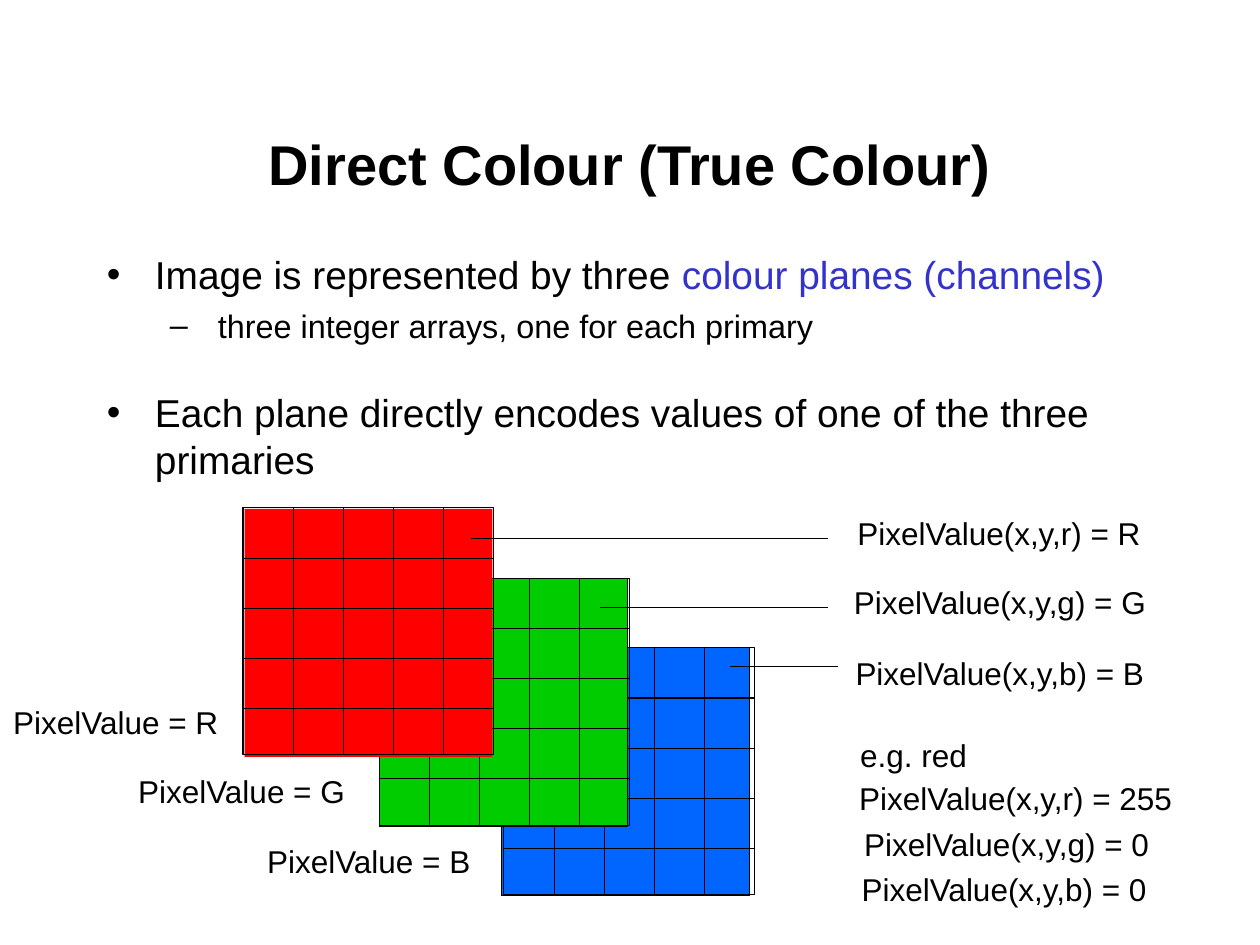
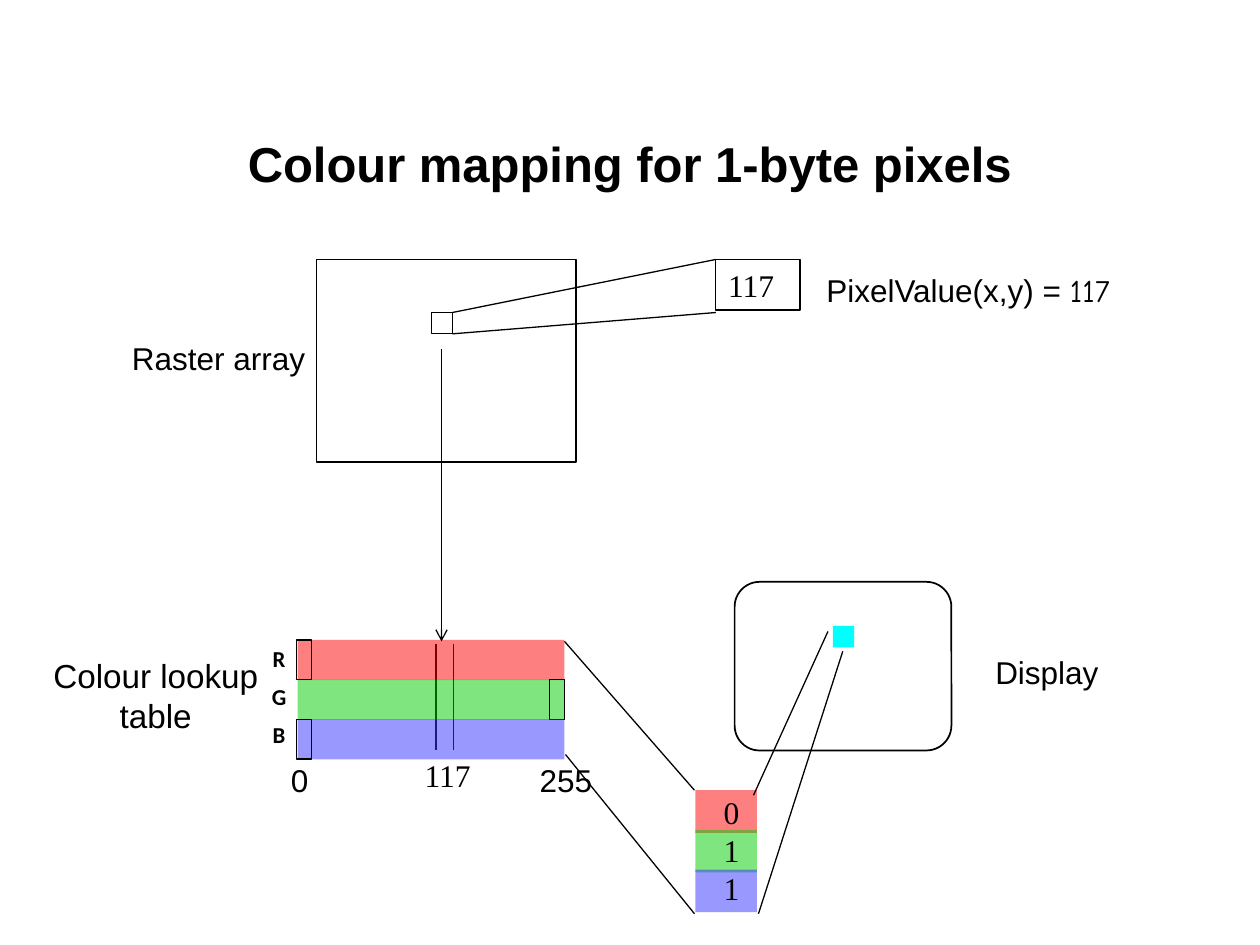
from lxml import etree
from pptx import Presentation
from pptx import util as u
from pptx.dml import color
from pptx.enum import shapes, text
from pptx.oxml import ns

BLACK = "000000"
RECT = shapes.MSO_SHAPE.RECTANGLE
LEFT, MID = text.PP_ALIGN.LEFT, text.PP_ALIGN.CENTER
SERIF = "Times New Roman"
tint = color.RGBColor.from_string


def box(page, kind, x, y, w, h, fill=None, edge=0, alpha=None):
    place = [u.Cm(n) for n in (x, y, w, h)]
    if kind is None:
        return page.shapes.add_textbox(*place)
    form = page.shapes.add_shape(kind, *place)
    form.shadow.inherit = False
    if fill:
        form.fill.solid()
        form.fill.fore_color.rgb = tint(fill)
        if alpha:
            hue = form.fill._xPr.find(".//" + ns.qn("a:srgbClr"))
            etree.SubElement(hue, ns.qn("a:alpha"), val=str(alpha * 1000))
    else:
        form.fill.background()
    if edge:
        form.line.color.rgb = tint(BLACK)
        form.line.width = u.Pt(edge)
    else:
        form.line.fill.background()
    return form


def rule(page, x1, y1, x2, y2, wide=0.75, arrow=False):
    line = page.shapes.add_connector(
        shapes.MSO_CONNECTOR.STRAIGHT, *[u.Cm(n) for n in (x1, y1, x2, y2)])
    line.line.color.rgb = tint(BLACK)
    line.line.width = u.Pt(wide)
    if arrow:
        etree.SubElement(line.line._get_or_add_ln(), ns.qn("a:tailEnd"), type="arrow")
    etree.SubElement(line._element.spPr, ns.qn("a:effectLst"))


deck = Presentation()
deck.slide_width, deck.slide_height = u.Cm(25.4), u.Cm(19.05)
pages = []
for layout, head, size in ((1, "Direct Colour (True Colour)", 32),
                           (5, "Colour mapping for 1-byte pixels", 28)):
    page = deck.slides.add_slide(deck.slide_layouts[layout])
    title = page.shapes.title
    title.left, title.top, title.width, title.height = [
        u.Cm(n) for n in (1.9, 1.7, 21.59, 3.18)]
    title.text_frame.auto_size = text.MSO_AUTO_SIZE.NONE
    para = title.text_frame.paragraphs[0]
    para.alignment = MID
    run = para.add_run()
    run.text = head
    run.font.name, run.font.size, run.font.bold = "Arial", u.Pt(size), True
    run.font.color.rgb = tint(BLACK)
    pages.append(page)
planes, lookup = pages

body = planes.placeholders[1]
body.left, body.top, body.width, body.height = [u.Cm(n) for n in (1.9, 4.93, 22.6, 5.08)]
frame = body.text_frame
frame.auto_size = text.MSO_AUTO_SIZE.NONE
items = [
    (0, "•", 0.97, 0, 22.2, [("Image is represented by three ", BLACK),
                             ("colour planes (channels)", "3333CC")]),
    (1, "–", 2.24, 5, 18.5, [("three integer arrays, one for each primary", BLACK)]),
    (0, "•", 0.97, 25, 22.2,
     [("Each plane directly encodes values of one of the three primaries", BLACK)]),
]
for n, (level, mark, indent, gap, size, runs) in enumerate(items):
    para = frame.add_paragraph() if n else frame.paragraphs[0]
    para.level = level
    para.space_before = u.Pt(gap)
    props = para._p.get_or_add_pPr()
    props.set("marL", str(u.Cm(indent)))
    props.set("indent", str(u.Cm(-0.97)))
    etree.SubElement(props, ns.qn("a:buChar"), char=mark)
    for words, hue in runs:
        run = para.add_run()
        run.text = words
        run.font.name, run.font.size = "Arial", u.Pt(size)
        run.font.color.rgb = tint(hue)

for fill, fx, fy, x, y, edge in (("0066FF", 10.11, 13.06, 10.16, 13.06, 0.62),
                                 ("00CC00", 7.65, 11.66, 7.65, 11.66, 0.62),
                                 ("FF0000", 4.93, 10.26, 4.9, 10.24, 0)):
    box(planes, RECT, fx, fy, 5, 5, fill, edge)
    box(planes, RECT, x, y, 5.05, 4.98, edge=0.62)
    for n in range(1, 5):
        step = n * 1.01
        rule(planes, x + step, y, x + step, y + 4.98, 0.62)
        rule(planes, x, y + step, x + 5.05, y + step, 0.62)
for x, y, end in ((9.5, 10.85, 16.69), (12.09, 12.24, 16.69), (14.71, 13.44, 16.89)):
    rule(planes, x, y, end, y, 0.62)

screen = box(lookup, shapes.MSO_SHAPE.ROUNDED_RECTANGLE, 14.81, 11.73, 4.37, 3.4, "FFFFFF", 1)
screen.adjustments[0] = 0.148
box(lookup, RECT, 6.38, 5.23, 5.23, 4.09, "FFFFFF", 1)
box(lookup, RECT, 8.7, 6.3, 0.43, 0.43, edge=0.75)
value = box(lookup, RECT, 14.43, 5.23, 1.7, 1.02, edge=0.75)
for x in (8.79, 9.14):
    rule(lookup, x, 12.98, x, 15.11, 1)
for n, (fill, mark) in enumerate((("FE0000", 5.98), ("00CC00", 11.08), ("3333FF", 5.98))):
    drop = n * 0.8
    box(lookup, RECT, 6, 12.9 + drop, 5.38, 0.81, fill, alpha=50)
    box(lookup, RECT, mark, 12.9 + drop, 0.3, 0.8, edge=0.75)
    box(lookup, RECT, 14.02, 15.93 + drop, 1.24, 0.86, fill, alpha=50)
for ends in ((9.12, 6.3, 14.43, 5.23), (9.12, 6.73, 14.43, 6.3),
             (11.38, 12.93, 14, 15.93), (11.4, 15.21, 14, 18.42),
             (15.19, 16.03, 16.69, 12.73), (15.29, 18.42, 16.99, 13.13)):
    rule(lookup, *ends)
rule(lookup, 8.9, 7.04, 8.9, 12.93, arrow=True)
box(lookup, RECT, 16.79, 12.62, 0.43, 0.43, "00FFFF")

notes = [(box(page, None, x, y, w, 1.02), words, 18, face, side, 1)
         for page, x, y, w, words, face, side in (
    (planes, 0, 14.05, 4.67, "PixelValue = R", "Arial", MID),
    (planes, 2.51, 15.44, 4.72, "PixelValue = G", "Arial", MID),
    (planes, 5.11, 16.84, 4.65, "PixelValue = B", "Arial", MID),
    (planes, 16.99, 10.24, 6.3, "PixelValue(x,y,r) = R", "Arial", MID),
    (planes, 16.92, 11.63, 6.48, "PixelValue(x,y,g) = G", "Arial", MID),
    (planes, 16.94, 13.06, 6.43, "PixelValue(x,y,b) = B", "Arial", MID),
    (planes, 17.09, 14.71, 2.8, "e.g. red", "Arial", LEFT),
    (planes, 17.07, 15.57, 7, "PixelValue(x,y,r) = 255", "Arial", LEFT),
    (planes, 17.17, 16.51, 6.4, "PixelValue(x,y,g) = 0", "Arial", LEFT),
    (planes, 17.12, 17.4, 6.4, "PixelValue(x,y,b) = 0", "Arial", LEFT),
    (lookup, 16.38, 5.33, 6.27, "PixelValue(x,y) = |117", "Arial|Comic Neue", MID),
    (lookup, 8.31, 15.11, 1.6, "117", SERIF, LEFT),
    (lookup, 5.54, 15.21, 1, "0", "Arial", MID),
    (lookup, 10.41, 15.21, 2, "255", "Arial", MID),
    (lookup, 19.81, 13.03, 2.59, "Display", "Arial", MID),
    (lookup, 2.41, 6.71, 4.4, "Raster array", "Arial", LEFT))]
notes += [(box(lookup, None, 5.46, 13 + n * 0.77, 0.33, 0.56), name, 13, "Calibri", MID, 0)
          for n, name in enumerate("RGB")]
notes += [
    (value, "117", 18, SERIF, LEFT, 1),
    (box(lookup, None, 14.34, 15.86, 1, 2.54), "0\n1\n1", 18, SERIF, LEFT, 1),
    (box(lookup, None, 1.07, 13.21, 4.14, 1.6), "Colour lookup\ntable", 19, "Arial", MID, 0),
]
for form, words, size, face, side, inset in notes:
    frame = form.text_frame
    frame.word_wrap = False
    frame.vertical_anchor = text.MSO_ANCHOR.TOP
    frame.margin_left = frame.margin_right = u.Cm(0.25 * inset)
    frame.margin_top = frame.margin_bottom = u.Cm(0.13 * inset)
    for n, row in enumerate(words.split("\n")):
        para = frame.add_paragraph() if n else frame.paragraphs[0]
        para.alignment = side
        for part, font in zip(row.split("|"), face.split("|")):
            run = para.add_run()
            run.text = part
            run.font.name, run.font.size = font, u.Pt(size)
            run.font.bold = font == "Calibri"
            run.font.color.rgb = tint(BLACK)

deck.save("out.pptx")
